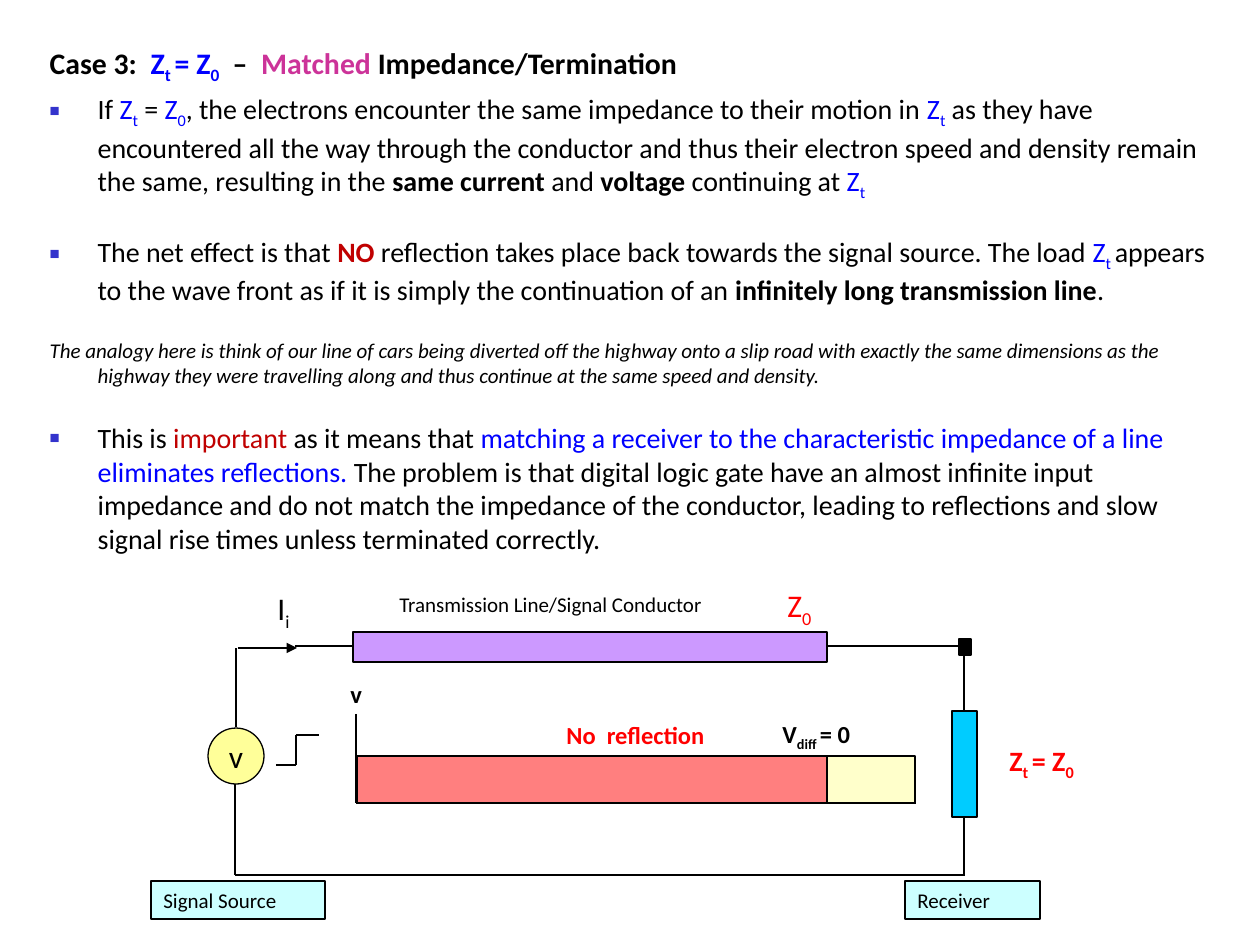
import pptx
import pptx.util
import pptx.dml.color
import pptx.enum.shapes
import pptx.enum.text
import lxml.etree

SCALE = 914400 / 126
BLACK, BLUE, RED, DARK_RED, PINK = "000000", "0000FF", "FF0000", "C00000", "CC3399"
SHAPES = pptx.enum.shapes.MSO_SHAPE
ANCHORS = pptx.enum.text.MSO_ANCHOR
ALIGNMENTS = pptx.enum.text.PP_ALIGN


def paint(color_owner, color):
    color_owner.solid()
    color_owner.fore_color.rgb = pptx.dml.color.RGBColor.from_string(color)


def write_runs(paragraph, size, space_before, runs):
    paragraph.space_before = pptx.util.Pt(space_before)
    for text, color, flags in runs:
        run = paragraph.add_run()
        run.text = text
        run.font.name = "Calibri"
        run.font.size = pptx.util.Pt(size)
        run.font.bold = "b" in flags
        run.font.italic = "i" in flags
        paint(run.font.fill, color)
        if "s" in flags:
            run.font._element.set("baseline", "-25000")


presentation = pptx.Presentation()
presentation.slide_width = round(1260 * SCALE)
presentation.slide_height = round(945 * SCALE)
slide = presentation.slides.add_slide(presentation.slide_layouts[1])
title = slide.shapes.title
title._element.getparent().remove(title._element)

z_t = [("Z", BLUE, ""), ("t", BLUE, "s")]
z_0 = [("Z", BLUE, ""), ("0", BLUE, "s")]
paragraphs = [
    (17, 4.2, False, [
        ("Case 3:  ", BLACK, "b"), ("Z", BLUE, "b"), ("t ", BLUE, "bs"), ("= Z", BLUE, "b"),
        ("0", BLUE, "bs"), ("  –  ", BLACK, "b"), ("Matched", PINK, "b"),
        (" Impedance/Termination", BLACK, "b")]),
    (16, 4, True, [
        ("If ", BLACK, ""), *z_t, (" = ", BLACK, ""), *z_0,
        (", the electrons encounter the same impedance to their motion in ", BLACK, ""), *z_t,
        (" as they have encountered all the way through the conductor and thus their electron "
         "speed and density remain the same, resulting in the ", BLACK, ""),
        ("same current ", BLACK, "b"), ("and ", BLACK, ""), ("voltage", BLACK, "b"),
        (" continuing at ", BLACK, ""), *z_t]),
    (16, 18.7, True, [
        ("The net effect is that ", BLACK, ""), ("NO", DARK_RED, "b"),
        (" reflection takes place back towards the signal source. The load ", BLACK, ""),
        ("Z", BLUE, ""), ("t ", BLUE, "s"),
        ("appears to the wave front as if it is simply the continuation of an ", BLACK, ""),
        ("infinitely long transmission line", BLACK, "b"), (".", BLACK, "")]),
    (12, 17.7, False, [
        ("The analogy here is think of our line of cars being diverted off the highway onto a "
         "slip road with exactly the same dimensions as the highway they were travelling along "
         "and thus continue at the same speed and density.", BLACK, "i")]),
    (16, 18.7, True, [
        ("This is ", BLACK, ""), ("important", DARK_RED, ""), (" as it means that ", BLACK, ""),
        ("matching a receiver to the characteristic impedance of a line eliminates "
         "reflections. ", BLUE, ""),
        ("The problem is that digital logic gate have an almost infinite input impedance and do "
         "not match the impedance of the conductor, leading to reflections and slow signal rise "
         "times unless terminated correctly.", BLACK, "")]),
]
body = slide.placeholders[1]
body.left, body.top, body.width, body.height = [round(n * SCALE) for n in (37, 38, 1198, 808)]
body.text_frame.auto_size = pptx.enum.text.MSO_AUTO_SIZE.NONE
body.text_frame.vertical_anchor = ANCHORS.TOP
for index, (size, space_before, bulleted, runs) in enumerate(paragraphs):
    paragraph = body.text_frame.paragraphs[0] if index == 0 else body.text_frame.add_paragraph()
    write_runs(paragraph, size, space_before, runs)
    properties = paragraph._p.get_or_add_pPr()
    properties.set("marL", str(round(48 * SCALE)))
    properties.set("indent", str(round(-48 * SCALE)))
    if bulleted:
        bullet_color = lxml.etree.SubElement(properties, pptx.oxml.ns.qn("a:buClr"))
        lxml.etree.SubElement(bullet_color, pptx.oxml.ns.qn("a:srgbClr"), val="3333CC")
        lxml.etree.SubElement(properties, pptx.oxml.ns.qn("a:buSzPct"), val="60000")
        lxml.etree.SubElement(properties, pptx.oxml.ns.qn("a:buChar"), char="■")
    else:
        lxml.etree.SubElement(properties, pptx.oxml.ns.qn("a:buNone"))

wires = [
    (238, 648, 297, 648, True),
    (295, 646, 965, 646, False),
    (964, 646, 964, 875, False),
    (235, 875, 965, 875, False),
    (236, 727, 236, 648, False),
    (235, 875, 235, 784, False),
    (276, 765, 296, 765, False),
    (296, 765, 296, 735, False),
    (296, 735, 319, 735, False),
    (356, 714, 356, 803, False),
    (356, 803, 916, 803, False),
]
for *ends, arrow in wires:
    wire = slide.shapes.add_connector(
        pptx.enum.shapes.MSO_CONNECTOR.STRAIGHT, *[round(n * SCALE) for n in ends])
    wire.line.width = pptx.util.Pt(0.75)
    paint(wire.line.fill, BLACK)
    if arrow:
        lxml.etree.SubElement(
            wire.line._get_or_add_ln(), pptx.oxml.ns.qn("a:tailEnd"), type="triangle")
    lxml.etree.SubElement(wire._element.spPr, pptx.oxml.ns.qn("a:effectLst"))

parts = [
    (SHAPES.RECTANGLE, (905, 881, 135, 38), "CCFFFF", None, "Receiver"),
    (SHAPES.RECTANGLE, (151, 881, 174, 38), "CCFFFF", None, "Signal Source"),
    (SHAPES.OVAL, (208, 728, 56, 56), "FFFF99", None, "v"),
    (SHAPES.RECTANGLE, (959, 639, 12, 16), BLACK, None, ""),
    (SHAPES.RECTANGLE, (357, 756, 470, 47), RED, 50, ""),
    (SHAPES.RECTANGLE, (827, 756, 88, 47), "FFFF99", 50, ""),
    (SHAPES.RECTANGLE, (353, 632, 474, 30), "CC99FF", None, ""),
    (SHAPES.RECTANGLE, (952, 711, 25, 106), "00CCFF", None, ""),
]
for kind, box, color, opacity, text in parts:
    shape = slide.shapes.add_shape(kind, *[round(n * SCALE) for n in box])
    shape.shadow.inherit = False
    paint(shape.fill, color)
    if opacity:
        color_element = shape._element.spPr.find(".//" + pptx.oxml.ns.qn("a:srgbClr"))
        lxml.etree.SubElement(color_element, pptx.oxml.ns.qn("a:alpha"), val=str(opacity * 1000))
    shape.line.width = pptx.util.Pt(0.75)
    paint(shape.line.fill, BLACK)
    if text:
        round_part = kind == SHAPES.OVAL
        shape.text_frame.word_wrap = not round_part
        shape.text_frame.vertical_anchor = ANCHORS.MIDDLE if round_part else ANCHORS.TOP
        paragraph = shape.text_frame.paragraphs[0]
        paragraph.alignment = ALIGNMENTS.CENTER if round_part else ALIGNMENTS.LEFT
        write_runs(paragraph, 18 if round_part else 12, 0 if round_part else 7.5,
                   [(text, BLACK, "")])

labels = [
    ((387, 585, 378, 38), 12, 7.5, [("Transmission Line/Signal Conductor", BLACK, "")]),
    ((997, 737, 123, 52), 16, 10, [
        ("Z", RED, "b"), ("t ", RED, "bs"), ("= Z", RED, "b"), ("0", RED, "bs")]),
    ((265, 583, 55, 55), 18, 11.2, [("I", BLACK, ""), ("i", BLACK, "s")]),
    ((775, 580, 84, 55), 18, 11.2, [("Z", RED, ""), ("0", RED, "s")]),
    ((338, 673, 45, 43), 14, 8.8, [("v", BLACK, "b")]),
    ((554, 714, 203, 43), 14, 8.8, [("No  reflection", RED, "b")]),
    ((770, 713, 123, 47), 14, 8.8, [("V", BLACK, "b"), ("diff ", BLACK, "bs"), ("= 0", BLACK, "b")]),
]
for box, size, space_before, runs in labels:
    label = slide.shapes.add_textbox(*[round(n * SCALE) for n in box])
    label.text_frame.word_wrap = True
    write_runs(label.text_frame.paragraphs[0], size, space_before, runs)

presentation.save("out.pptx")
